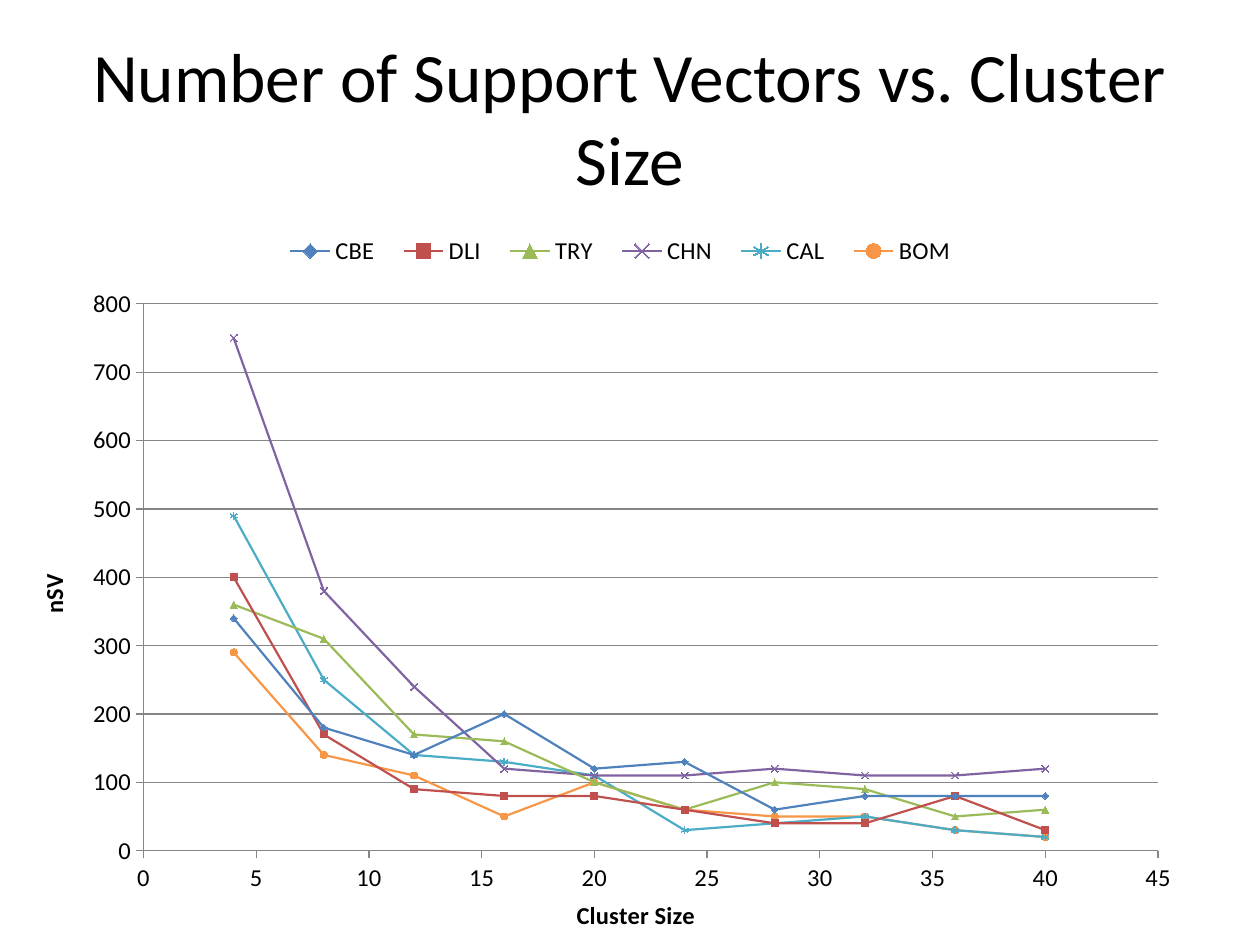
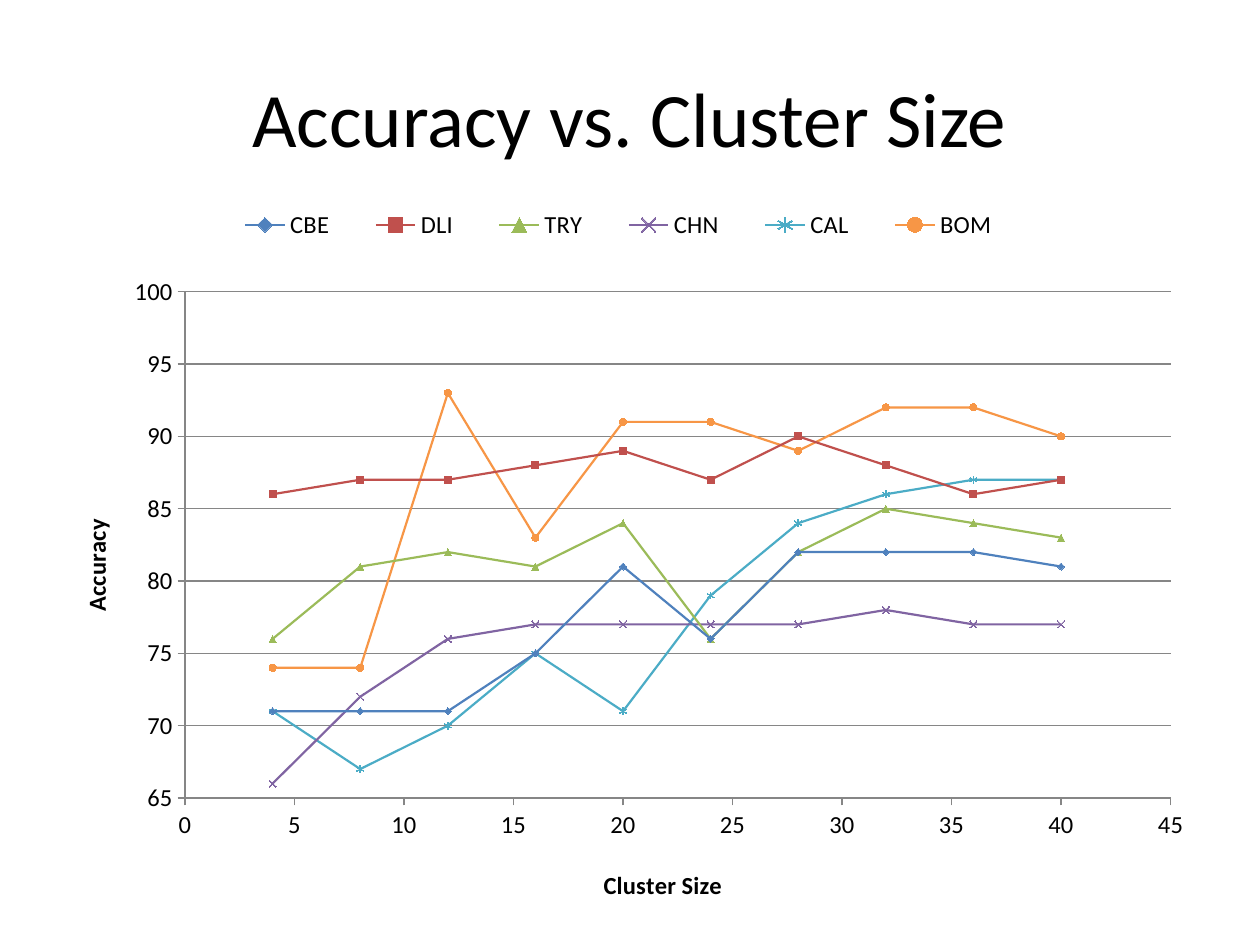
from lxml import etree
from pptx import Presentation
from pptx import util as u
from pptx.chart.data import XyChartData
from pptx.dml.color import RGBColor
from pptx.enum import chart as charts, text
from pptx.oxml import ns

FONT = "Calibri"
BLACK = "000000"
AXIS_GREY = "868686"
CLUSTER_SIZES = range(4, 41, 4)
MARKERS = charts.XL_MARKER_STYLE
STATION_STYLES = {
    "CBE": ("4F81BD", MARKERS.DIAMOND),
    "DLI": ("C0504D", MARKERS.SQUARE),
    "TRY": ("9BBB59", MARKERS.TRIANGLE),
    "CHN": ("8064A2", MARKERS.X),
    "CAL": ("4BACC6", MARKERS.STAR),
    "BOM": ("F79646", MARKERS.CIRCLE),
}

SUPPORT_VECTORS = {
    "CBE": [340, 180, 140, 200, 120, 130, 60, 80, 80, 80],
    "DLI": [400, 170, 90, 80, 80, 60, 40, 40, 80, 30],
    "TRY": [360, 310, 170, 160, 100, 60, 100, 90, 50, 60],
    "CHN": [750, 380, 240, 120, 110, 110, 120, 110, 110, 120],
    "CAL": [490, 250, 140, 130, 110, 30, 40, 50, 30, 20],
    "BOM": [290, 140, 110, 50, 100, 60, 50, 50, 30, 20],
}
ACCURACY = {
    "CBE": [71, 71, 71, 75, 81, 76, 82, 82, 82, 81],
    "DLI": [86, 87, 87, 88, 89, 87, 90, 88, 86, 87],
    "TRY": [76, 81, 82, 81, 84, 76, 82, 85, 84, 83],
    "CHN": [66, 72, 76, 77, 77, 77, 77, 78, 77, 77],
    "CAL": [71, 67, 70, 75, 71, 79, 84, 86, 87, 87],
    "BOM": [74, 74, 93, 83, 91, 91, 89, 92, 92, 90],
}


def rgb(hex_colour):
    return RGBColor.from_string(hex_colour)


def set_attributes(target, values):
    for name, value in values.items():
        setattr(target, name, value)


def set_font(font, size, bold=False):
    set_attributes(font, {"name": FONT, "size": u.Pt(size), "bold": bold})
    font.color.rgb = rgb(BLACK)


def set_line(line, colour, width):
    line.color.rgb = rgb(colour)
    line.width = u.Pt(width)


def place(element, box, inner=False):
    """Give a chart part a manual place: x, y and maybe w, h as chart fractions."""
    layout = element.find(ns.qn("c:layout"))
    if layout is None:
        layout = etree.Element(ns.qn("c:layout"))
        overlay = element.find(ns.qn("c:overlay"))
        element.insert(0 if overlay is None else element.index(overlay), layout)
    for child in list(layout):
        layout.remove(child)
    manual = etree.SubElement(layout, ns.qn("c:manualLayout"))
    settings = [("layoutTarget", "inner")] if inner else []
    settings += [("xMode", "edge"), ("yMode", "edge"), *zip("xywh", box)]
    for tag, value in settings:
        etree.SubElement(manual, ns.qn(f"c:{tag}")).set("val", str(value))


def add_title(slide, wording, size):
    shape = slide.shapes.add_textbox(
        u.Inches(0.5), u.Inches(0.3), u.Inches(9), u.Inches(1.25))
    frame = shape.text_frame
    set_attributes(frame, {"word_wrap": True, "text": wording,
                           "vertical_anchor": text.MSO_ANCHOR.MIDDLE})
    paragraph = frame.paragraphs[0]
    paragraph.alignment = text.PP_ALIGN.CENTER
    set_font(paragraph.font, size)


def style_axis(axis, title, title_place, scale, gridlines):
    set_attributes(axis, {
        "has_major_gridlines": gridlines,
        "has_minor_gridlines": False,
        "major_tick_mark": charts.XL_TICK_MARK.OUTSIDE,
        "minor_tick_mark": charts.XL_TICK_MARK.NONE,
        "tick_label_position": charts.XL_TICK_LABEL_POSITION.NEXT_TO_AXIS,
        **dict(zip(("minimum_scale", "maximum_scale", "major_unit"), scale)),
    })
    set_line(axis.format.line, AXIS_GREY, 0.75)
    if gridlines:
        set_line(axis.major_gridlines.format.line, AXIS_GREY, 0.75)
    set_font(axis.tick_labels.font, 14)
    set_attributes(axis.tick_labels,
                   {"number_format": "General", "number_format_is_linked": False})
    frame = axis.axis_title.text_frame
    frame.text = title
    set_font(frame.paragraphs[0].runs[0].font, 14, bold=True)
    place(axis.axis_title._element, title_place)


def style_series(series):
    colour, marker_style = STATION_STYLES[series.name]
    series.smooth = False
    set_line(series.format.line, colour, 1.25)
    marker = series.marker
    set_attributes(marker, {"style": marker_style, "size": 4})
    marker.format.fill.solid()
    marker.format.fill.fore_color.rgb = rgb(colour)
    set_line(marker.format.line, colour, 0.75)


def add_cluster_chart(slide, box, values, value_title, value_scale, places):
    """Plot each station's values against cluster size."""
    data = XyChartData()
    for station, station_values in values.items():
        series = data.add_series(station)
        for size, value in zip(CLUSTER_SIZES, station_values):
            series.add_data_point(size, value)
    chart = slide.shapes.add_chart(
        charts.XL_CHART_TYPE.XY_SCATTER_LINES, *map(u.Inches, box), data).chart
    set_attributes(chart, {"has_title": False, "has_legend": True})
    set_font(chart.font, 14)

    set_attributes(chart.legend, {"position": charts.XL_LEGEND_POSITION.TOP,
                                  "include_in_layout": False})
    set_font(chart.legend.font, 14)
    place(chart.legend._element, places["legend"])
    place(chart._chartSpace.chart.plotArea, places["plot"], inner=True)

    style_axis(chart.category_axis, "Cluster Size", places["size title"],
               (0, 45, 5), gridlines=False)
    style_axis(chart.value_axis, value_title, places["value title"],
               value_scale, gridlines=True)
    plot = chart.plots[0]
    plot.vary_by_categories = False
    for series in plot.series:
        style_series(series)


def main():
    presentation = Presentation()
    set_attributes(presentation, {"slide_width": u.Inches(10),
                                  "slide_height": u.Inches(7.5)})
    blank = presentation.slide_layouts[6]

    slide = presentation.slides.add_slide(blank)
    add_title(slide, "Number of Support Vectors vs. Cluster Size", 39.6)
    add_cluster_chart(
        slide, (0.12, 1.15, 9.61, 6.3), SUPPORT_VECTORS, "nSV", (0, 800, 100),
        {"plot": (0.106, 0.202, 0.838, 0.695), "legend": (0.21, 0.1, 0.58, 0.07),
         "size title": (0.46, 0.952), "value title": (0.014, 0.54)})

    slide = presentation.slides.add_slide(blank)
    add_title(slide, "Accuracy vs. Cluster Size", 44)
    add_cluster_chart(
        slide, (0.2, 1.15, 9.61, 6.06), ACCURACY, "Accuracy", (65, 100, 5),
        {"plot": (0.132, 0.193, 0.814, 0.665), "legend": (0.15, 0.07, 0.68, 0.07),
         "size title": (0.474, 0.944), "value title": (0.041, 0.486)})

    presentation.save("out.pptx")


if __name__ == "__main__":
    main()
